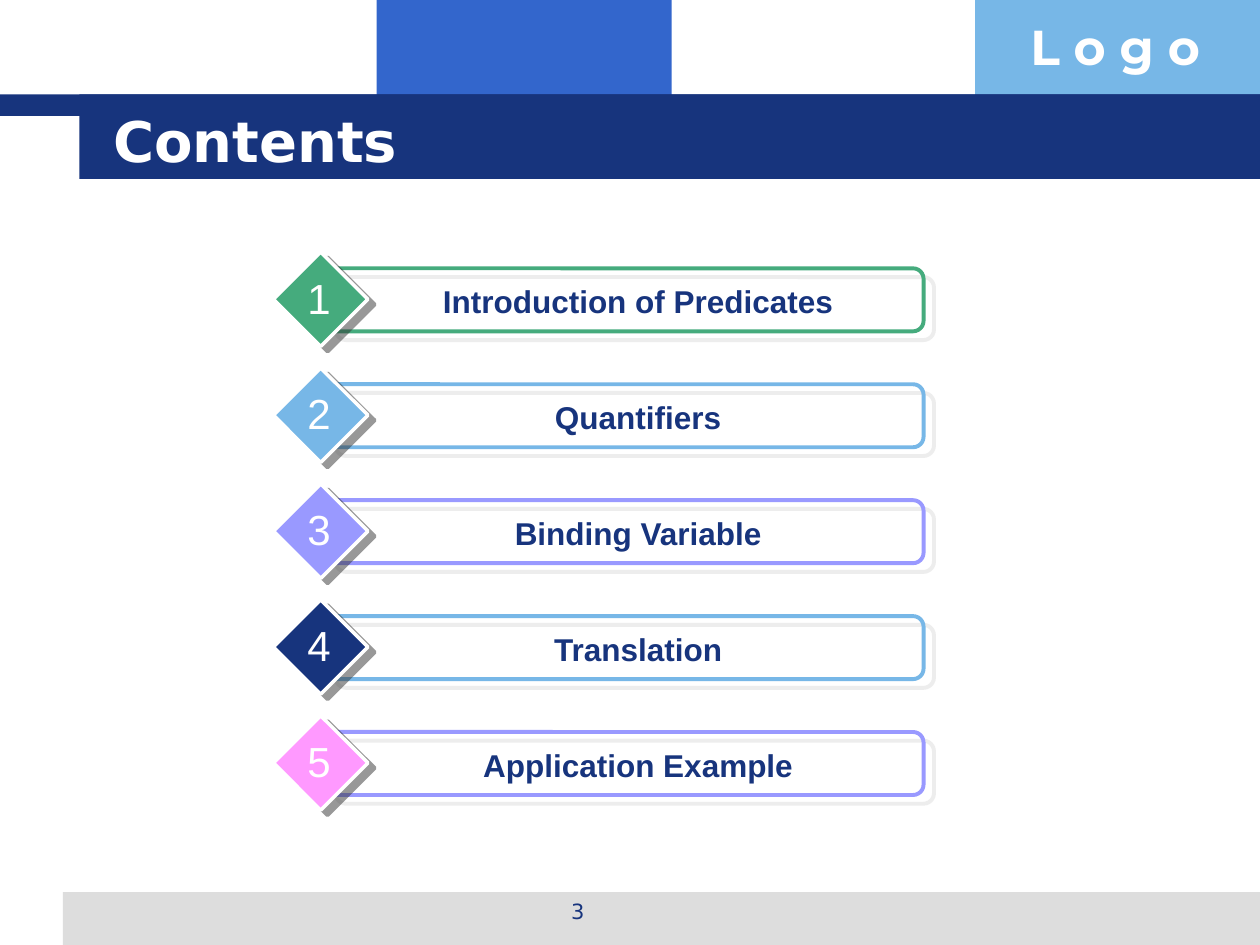
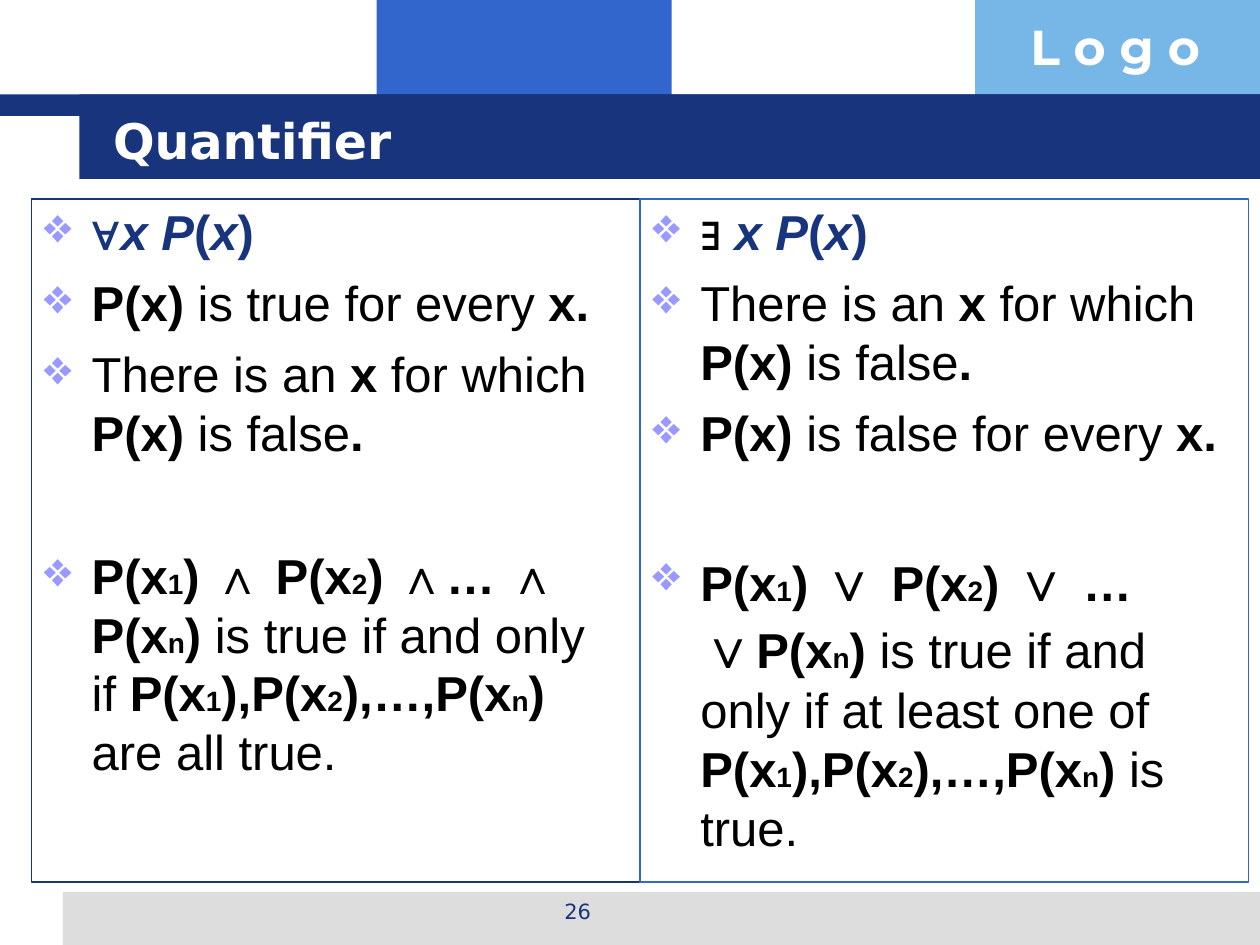
from lxml import etree
from pptx import Presentation
from pptx.dml.color import RGBColor
from pptx.enum.shapes import MSO_SHAPE
from pptx.enum.text import MSO_ANCHOR, PP_ALIGN
from pptx.oxml.ns import qn
from pptx.util import Inches, Pt

NAVY, BLUE, SKY = "17347D", "3366CC", "77B7E7"
GREEN, VIOLET, PINK = "45AB7D", "9999FF", "FF99FF"
GREY, DARK, WHITE, BLACK = "DDDDDD", "333333", "FFFFFF", "000000"
BODY_FONT, TITLE_FONT, LOGO_FONT = "Arial", "DejaVu Sans", "Montserrat"

BANDS = [
    (2.99, 0, 2.34, 0.92, BLUE),
    (7.74, 0, 2.26, 0.92, SKY),
    (0.5, 7.08, 9.5, 0.42, GREY),
    (0, 0.75, 10, 0.17, NAVY),
    (0.63, 0.75, 9.37, 0.67, NAVY),
]

TOPICS = [
    ("Introduction of Predicates", GREEN, GREEN),
    ("Quantifiers", SKY, SKY),
    ("Binding Variable", VIOLET, VIOLET),
    ("Translation", NAVY, SKY),
    ("Application Example", PINK, VIOLET),
]
TOPIC_PITCH = 0.92

# Marks: * bold, _ italic, # navy, ~ subscript size, ^ operator size
UNIVERSAL = [
    "#*∀_x P_(_x_)*#",
    "*P(x) *is true for every* x.*",
    "There is an* x *for which* P(x) *is false*.*",
    "*P(x~1~) ∧ P(x~2~) ∧… ∧ P(x~n~) *is true if and only if"
    "* P(x~1~),P(x~2~),…,P(x~n~) *are all true.",
]
EXISTENTIAL = [
    "∃ #*_x P_(_x_)*#",
    "There is an *x *for which* P(x) *is false*.*",
    "*P(x) *is false for every *x.*",
    "*P(x~1~) ^∨^ P(x~2~) ^∨^ … ^∨^P(x~n~) *is true if and only if "
    "at least one of *P(x~1~),P(x~2~),…,P(x~n~) *is true.",
]


def rgb(hex_colour):
    return RGBColor.from_string(hex_colour)


def add_block(slide, kind, box, fill=None, line=None, width=0.75):
    block = slide.shapes.add_shape(kind, *map(Inches, box))
    block.shadow.inherit = False
    if fill:
        block.fill.solid()
        block.fill.fore_color.rgb = rgb(fill)
    else:
        block.fill.background()
    if line:
        block.line.color.rgb = rgb(line)
        block.line.width = Pt(width)
    else:
        block.line.fill.background()
    return block


def cast_shadow(block, colour, distance, degrees):
    effects = block._element.spPr.find(qn("a:effectLst"))
    shadow = etree.SubElement(
        effects, qn("a:outerShdw"), blurRad="0", dist=str(Pt(distance)),
        dir=str(degrees * 60000), algn="ctr", rotWithShape="0")
    tint = etree.SubElement(shadow, qn("a:srgbClr"), val=colour)
    etree.SubElement(tint, qn("a:alpha"), val="50000")


def set_font(font, name, size, colour, bold=None):
    font.name = name
    font.size = Pt(size)
    font.color.rgb = rgb(colour)
    font.bold = bold


def add_label(slide, box, text, name, size, colour, bold=False,
              align=PP_ALIGN.LEFT, anchor=MSO_ANCHOR.TOP, wrap=True):
    frame = slide.shapes.add_textbox(*map(Inches, box)).text_frame
    frame.word_wrap = wrap
    frame.vertical_anchor = anchor
    paragraph = frame.paragraphs[0]
    paragraph.text = text
    paragraph.alignment = align
    set_font(paragraph.font, name, size, colour, bold)


def add_themed_slide(deck, title, title_size, number):
    slide = deck.slides.add_slide(deck.slide_layouts[6])
    for *box, colour in BANDS:
        add_block(slide, MSO_SHAPE.RECTANGLE, box, colour)
    add_label(slide, (8.08, 0.08, 1.93, 0.57), "L o g o", LOGO_FONT, 28,
              WHITE, bold=True)
    add_label(slide, (3.42, 7.08, 2.33, 0.35), number, TITLE_FONT, 12, NAVY,
              align=PP_ALIGN.CENTER)
    add_label(slide, (0.8, 0.8, 8.53, 0.62), title, TITLE_FONT, title_size,
              WHITE, bold=True, anchor=MSO_ANCHOR.MIDDLE)
    return slide


def add_topic(slide, number, topic, badge_colour, frame_colour):
    top = 2 + (number - 1) * TOPIC_PITCH
    frame = add_block(slide, MSO_SHAPE.ROUNDED_RECTANGLE,
                      (2.58, top + 0.13, 4.75, 0.5), line=frame_colour, width=2.25)
    cast_shadow(frame, GREY, 7.8, 40)
    badge = add_block(slide, MSO_SHAPE.DIAMOND, (2.17, top, 0.75, 0.75),
                      badge_colour, WHITE, 2)
    cast_shadow(badge, DARK, 5, 37)
    add_label(slide, (2.9, top + 0.19, 4.33, 0.4), topic, BODY_FONT, 18, NAVY,
              bold=True, align=PP_ALIGN.CENTER)
    add_label(slide, (2.34, top + 0.11, 0.38, 0.5), str(number), BODY_FONT, 24,
              WHITE, align=PP_ALIGN.CENTER, wrap=False)


def add_run(paragraph, text, marks):
    run = paragraph.add_run()
    run.text = text
    run.font.bold = "*" in marks
    run.font.italic = "_" in marks
    if "#" in marks:
        run.font.color.rgb = rgb(NAVY)
    if "~" in marks:
        run.font.size = Pt(16)
    if "^" in marks:
        run.font.size = Pt(32)


def add_marked_runs(paragraph, marked):
    marks, text = set(), ""
    for character in marked:
        if character not in "*_#~^":
            text += character
            continue
        if text:
            add_run(paragraph, text, marks)
            text = ""
        marks ^= {character}
    if text:
        add_run(paragraph, text, marks)


def add_bullet(paragraph):
    properties = paragraph._p.get_or_add_pPr()
    properties.set("marL", str(Inches(0.38)))
    properties.set("indent", str(Inches(-0.38)))
    tint = etree.SubElement(properties, qn("a:buClr"))
    etree.SubElement(tint, qn("a:srgbClr"), val=VIOLET)
    etree.SubElement(properties, qn("a:buChar"), char="❖")


def add_statements(slide, box, statements):
    frame = slide.shapes.add_textbox(*map(Inches, box)).text_frame
    frame.word_wrap = True
    for index, statement in enumerate(statements):
        paragraph = frame.add_paragraph() if index else frame.paragraphs[0]
        add_bullet(paragraph)
        if index:
            paragraph.space_before = Pt(48 if index == len(statements) - 1 else 7)
        set_font(paragraph.font, BODY_FONT, 28, BLACK)
        add_marked_runs(paragraph, statement)


def main():
    deck = Presentation()
    deck.slide_width, deck.slide_height = Inches(10), Inches(7.5)

    contents = add_themed_slide(deck, "Contents", 32, "3")
    for number, topic in enumerate(TOPICS, 1):
        add_topic(contents, number, *topic)

    quantifier = add_themed_slide(deck, "Quantifier", 28, "26")
    add_statements(quantifier, (0.25, 1.55, 4.67, 5.34), UNIVERSAL)
    add_statements(quantifier, (5.08, 1.55, 4.92, 5.34), EXISTENTIAL)
    for left, colour in ((0.25, NAVY), (5.08, BLUE)):
        add_block(quantifier, MSO_SHAPE.RECTANGLE, (left, 1.58, 4.83, 5.42),
                  line=colour)

    deck.save("out.pptx")


if __name__ == "__main__":
    main()
